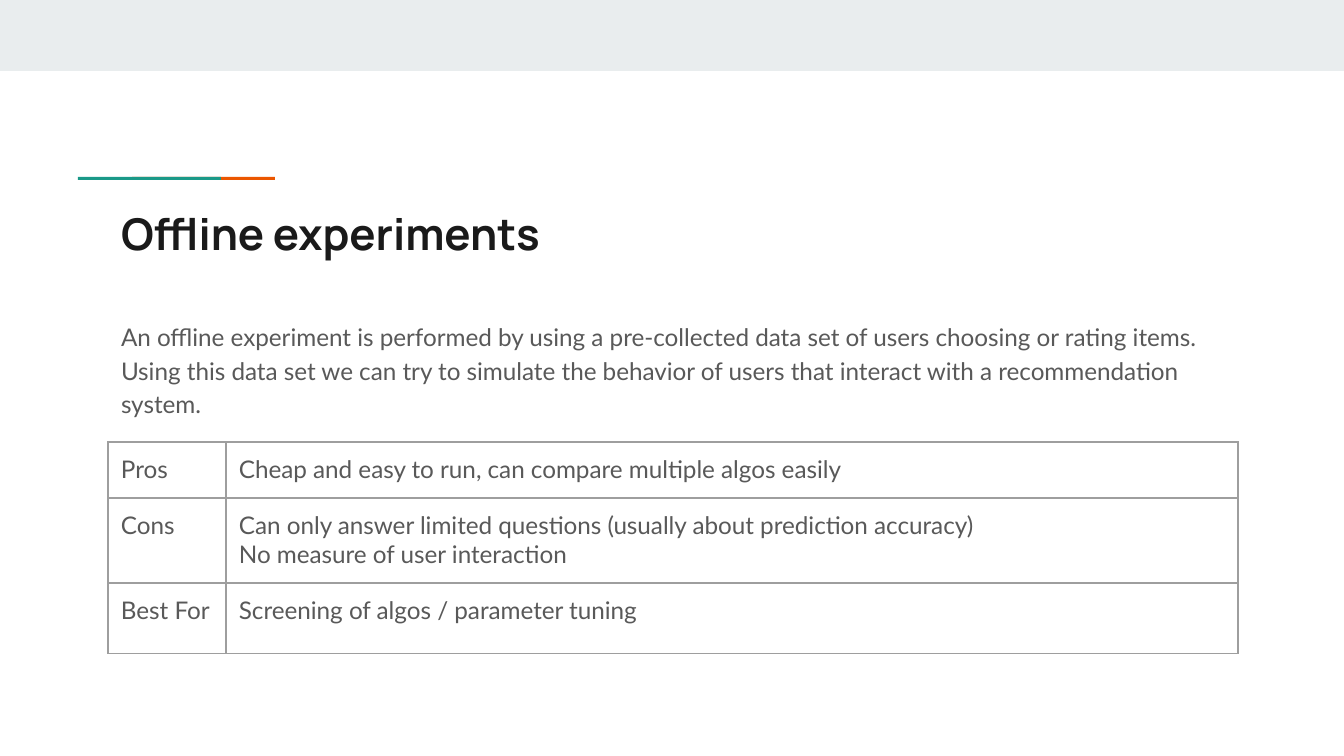
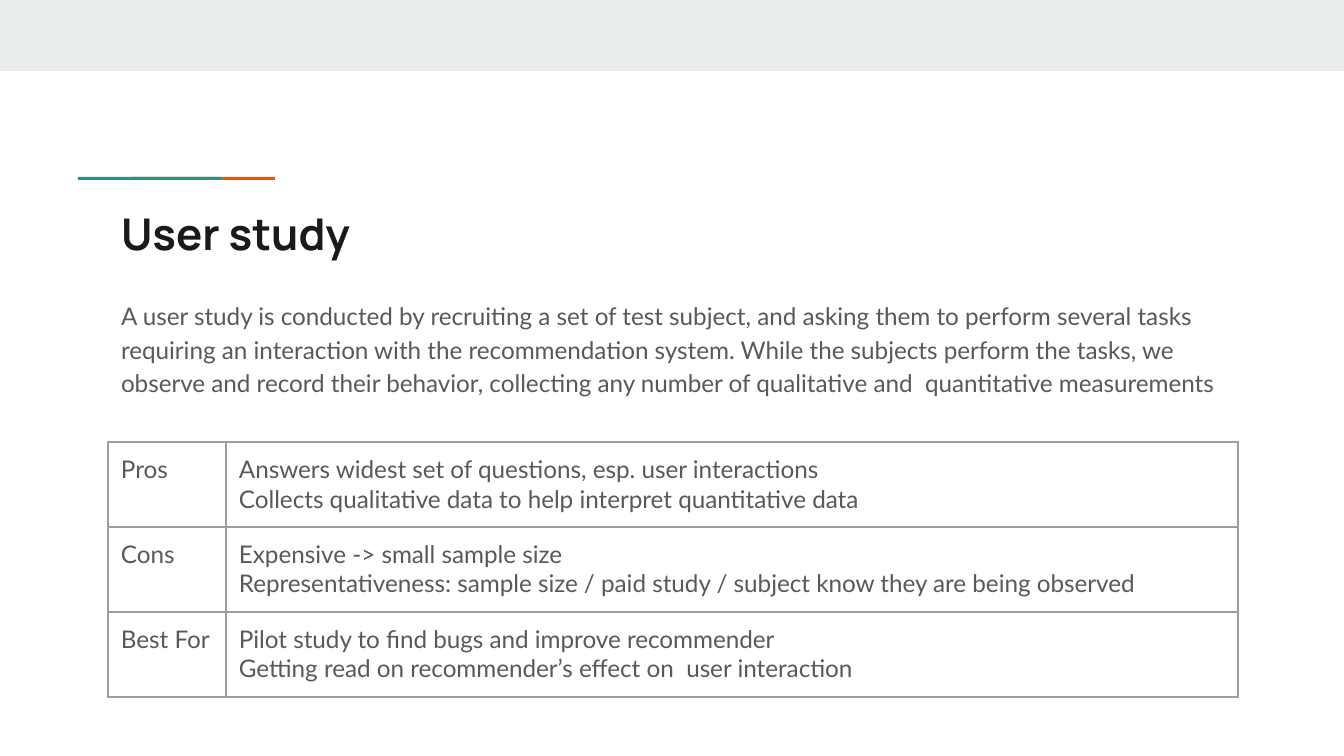
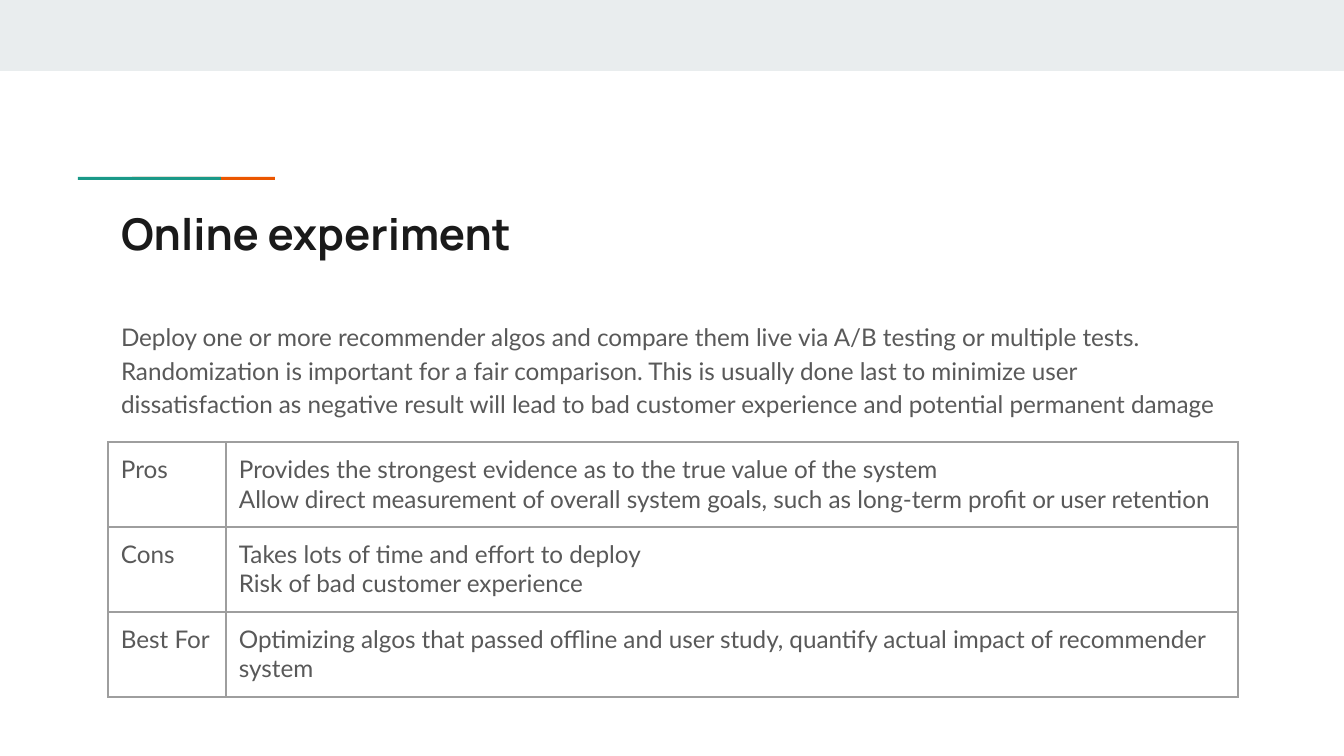
from dataclasses import dataclass

from lxml import etree
from pptx import Presentation, util as u
from pptx.dml.color import RGBColor
from pptx.enum import shapes, text
from pptx.oxml import ns

SCALE = 914400 / 134.4
INSET = 13
LEFT, WIDE = 108, 1130
COLS = (118, 1012)
LABELS = ("Pros", "Cons", "Best For")
COLORS = {
    "band": "E9EDEE",
    "teal": "1A9988",
    "orange": "EB5600",
    "title": "1A1A1A",
    "body": "595959",
    "grid": "9E9E9E",
}


@dataclass(frozen=True)
class Bar:
    left: int
    top: int
    width: int
    height: int
    color: str


@dataclass(frozen=True)
class Method:
    title: str
    intro: str
    cells: tuple[str, str, str]
    rows: tuple[int, int, int] = (85, 85, 85)
    top: int = 305
    height: int = 137


BARS = (
    Bar(0, 0, 1344, 71, "band"),
    Bar(132, 177, 143, 3, "orange"),
    Bar(78, 177, 143, 3, "teal"),
)

METHODS = (
    Method(
        "Offline experiments",
        "An offline experiment is performed by using a pre-collected data set of users "
        "choosing or rating items. Using this data set we can try to simulate the behavior "
        "of users that interact with a recommendation system.",
        (
            "Cheap and easy to run, can compare multiple algos easily",
            "Can only answer limited questions (usually about prediction accuracy)\n"
            "No measure of user interaction",
            "Screening of algos / parameter tuning",
        ),
        rows=(56, 85, 71),
    ),
    Method(
        "User study",
        "A user study is conducted by recruiting a set of test subject, and asking them to "
        "perform several tasks requiring an interaction with the recommendation system. "
        "While the subjects perform the tasks, we observe and record their behavior, "
        "collecting any number of qualitative and  quantitative measurements",
        (
            "Answers widest set of questions, esp. user interactions\n"
            "Collects qualitative data to help interpret quantitative data",
            "Expensive -> small sample size\n"
            "Representativeness: sample size / paid study / subject know they are being observed",
            "Pilot study to find bugs and improve recommender\n"
            "Getting read on recommender’s effect on  user interaction",
        ),
        top=284,
        height=155,
    ),
    Method(
        "Online experiment",
        "Deploy one or more recommender algos and compare them live via A/B testing or "
        "multiple tests. Randomization is important for a fair comparison. This is usually "
        "done last to minimize user dissatisfaction as negative result will lead to bad "
        "customer experience and potential permanent damage",
        (
            "Provides the strongest evidence as to the true value of the system\n"
            "Allow direct measurement of overall system goals, such as long-term profit "
            "or user retention",
            "Takes lots of time and effort to deploy\nRisk of bad customer experience",
            "Optimizing algos that passed offline and user study, quantify actual impact "
            "of recommender system",
        ),
    ),
)


def px(size: int) -> u.Emu:
    return u.Emu(round(size * SCALE))


def rgb(name: str) -> RGBColor:
    return RGBColor.from_string(COLORS[name])


def write(frame, words: str, *, size: float = 13, font: str = "Lato", color: str = "body",
          bold: bool = False, line: float = 1.0, after: int = 0) -> None:
    frame.text = words
    for para in frame.paragraphs:
        para.alignment = text.PP_ALIGN.LEFT
        para.line_spacing = line
        para.space_before = u.Pt(0)
        para.space_after = u.Pt(after)
        face = para.runs[0].font
        face.name, face.size, face.bold = font, u.Pt(size), bold
        face.color.rgb = rgb(color)


def pad(box) -> None:
    box.margin_left = box.margin_right = px(INSET)
    box.margin_top = box.margin_bottom = px(INSET)


def place(holder, top: int, height: int, anchor) -> None:
    holder.left, holder.top = px(LEFT), px(top)
    holder.width, holder.height = px(WIDE), px(height)
    frame = holder.text_frame
    pad(frame)
    frame.word_wrap = True
    frame.auto_size = text.MSO_AUTO_SIZE.NONE
    frame.vertical_anchor = anchor


def plain(frame) -> None:
    for para in frame.paragraphs:
        props = para._p.get_or_add_pPr()
        props.set("marL", "0")
        props.set("indent", "0")
        etree.SubElement(props, ns.qn("a:buNone"))


def draw(slide, bar: Bar) -> None:
    box = slide.shapes.add_shape(shapes.MSO_SHAPE.RECTANGLE, px(bar.left), px(bar.top),
                                 px(bar.width), px(bar.height))
    box.shadow.inherit = False
    box.fill.solid()
    box.fill.fore_color.rgb = rgb(bar.color)
    box.line.fill.background()


def edge(cell) -> None:
    props = cell._tc.get_or_add_tcPr()
    for side in ("lnL", "lnR", "lnT", "lnB"):
        line = etree.SubElement(props, ns.qn(f"a:{side}"), w=str(u.Pt(0.75)))
        fill = etree.SubElement(line, ns.qn("a:solidFill"))
        etree.SubElement(fill, ns.qn("a:srgbClr"), val=COLORS["grid"])


def tabulate(slide, item: Method) -> None:
    grid = slide.shapes.add_table(len(LABELS), len(COLS), px(LEFT), px(442),
                                  px(WIDE), px(sum(item.rows))).table
    grid.first_row = grid.horz_banding = False
    for col, width in zip(grid.columns, COLS):
        col.width = px(width)
    for row, height, pair in zip(grid.rows, item.rows, zip(LABELS, item.cells)):
        row.height = px(height)
        for cell, words in zip(row.cells, pair):
            write(cell.text_frame, words)
            pad(cell)
            edge(cell)
            cell.fill.background()


def build(deck, item: Method) -> None:
    slide = deck.slides.add_slide(deck.slide_layouts[1])
    for bar in BARS:
        draw(slide, bar)
    title, body = slide.placeholders
    place(title, 194, 79, text.MSO_ANCHOR.MIDDLE)
    write(title.text_frame, item.title, size=23.4, font="Manrope", color="title", bold=True)
    place(body, item.top, item.height, text.MSO_ANCHOR.TOP)
    write(body.text_frame, item.intro, line=1.15, after=12)
    plain(body.text_frame)
    tabulate(slide, item)


deck = Presentation()
deck.slide_width, deck.slide_height = px(1344), px(756)
for item in METHODS:
    build(deck, item)
deck.save("out.pptx")
